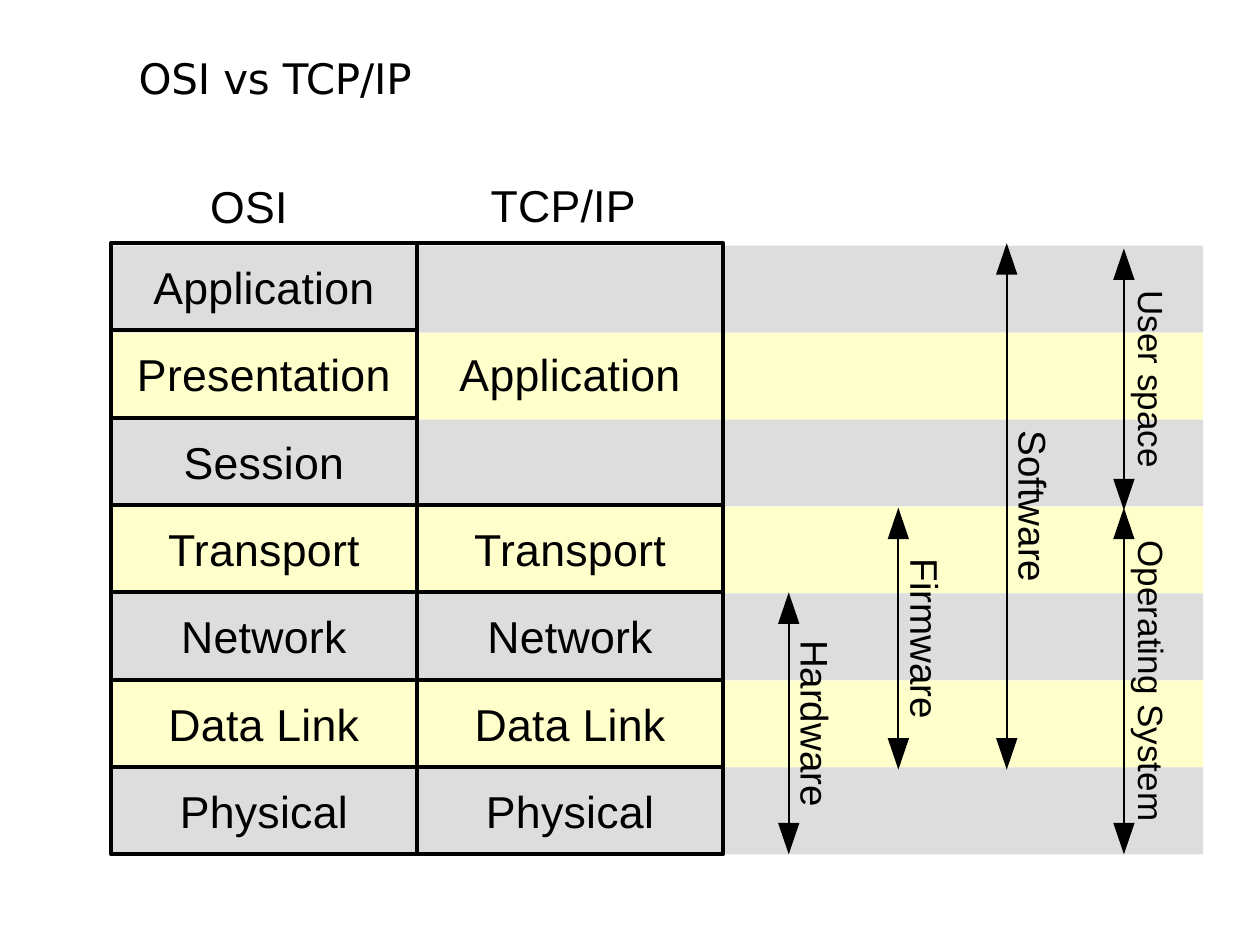
from dataclasses import dataclass

from lxml.etree import SubElement as Sub
from pptx import Presentation
from pptx.dml.color import RGBColor as RGB
from pptx.enum.shapes import MSO_CONNECTOR as Link, MSO_SHAPE as Kind
from pptx.enum.text import MSO_ANCHOR as Anchor, PP_ALIGN as Align
from pptx.oxml.ns import qn
from pptx.util import Inches, Pt

# Grid of the two stacks: seven rows, two columns
LEFT, TOP, BASE = 0.88, 1.93, 6.78
ROWS = 7
ROW = (BASE - TOP) / ROWS
COL = 2.43
BAND_TOP, BAND_W = 1.95, 8.67
BAND = (BASE - BAND_TOP) / ROWS
HEAD_W, HEAD_H = 0.17, 0.25
BLACK, GREY, CREAM = "000000", "DDDDDD", "FFFFCC"


@dataclass
class Cell:
    text: str
    col: int
    row: int
    span: int = 1


@dataclass
class Arrow:
    text: str
    x: float
    start: float  # in rows
    end: float    # in rows
    size: int = 22
    gap: float = 0.06
    wide: float = 0.34


LOWER = ["Transport", "Network", "Data Link", "Physical"]
OSI = ["Application", "Presentation", "Session"] + LOWER
CELLS = [Cell(name, 0, i) for i, name in enumerate(OSI)]
CELLS += [Cell("Application", 1, 0, 3)]
CELLS += [Cell(name, 1, i) for i, name in enumerate(LOWER, 3)]

ARROWS = [
    Arrow("Hardware", 6.26, 4, 7),
    Arrow("Firmware", 7.13, 3.03, 6.03),
    Arrow("Software", 7.99, 0, 6.03),
    Arrow("Operating System", 8.92, 3.03, 7, 20, 0.08, 0.31),
    Arrow("User space", 8.92, 0.06, 3.06, 20, 0.08, 0.31),
]


def tint(fmt, hue: str) -> None:
    """Give a fill or a font a solid colour."""
    if hasattr(fmt, "solid"):
        fmt.solid()
        fmt.fore_color.rgb = RGB.from_string(hue)
    else:
        fmt.color.rgb = RGB.from_string(hue)


def write(shape, text: str, size: float, face: str = "Arial",
          align=Align.CENTER, track: int = 0) -> None:
    frame = shape.text_frame
    frame.margin_left = frame.margin_right = 0
    frame.margin_top = frame.margin_bottom = 0
    frame.word_wrap = True
    para = frame.paragraphs[0]
    para.text = text
    para.alignment = align
    font = para.font
    font.name, font.size = face, Pt(size)
    tint(font, BLACK)
    if track:
        font._element.set("spc", str(track))


def block(slide, kind, x: float, y: float, w: float, h: float,
          fill: str = "", line: float = 0):
    shape = slide.shapes.add_shape(
        kind, Inches(x), Inches(y), Inches(w), Inches(h))
    shape.shadow.inherit = False
    if fill:
        tint(shape.fill, fill)
    else:
        shape.fill.background()
    if line:
        tint(shape.line.fill, BLACK)
        shape.line.width = Pt(line)
    else:
        shape.line.fill.background()
    return shape


def label(slide, x: float, y: float, w: float, h: float, text: str,
          size: float, **look):
    box = slide.shapes.add_textbox(
        Inches(x), Inches(y), Inches(w), Inches(h))
    write(box, text, size, **look)
    return box


def draw_cell(slide, cell: Cell) -> None:
    shape = block(slide, Kind.RECTANGLE, LEFT + cell.col * COL,
                  TOP + cell.row * ROW, COL, cell.span * ROW, line=2.3)
    write(shape, cell.text, 25.5, track=14)
    shape.text_frame.vertical_anchor = Anchor.MIDDLE


def draw_arrow(slide, arrow: Arrow) -> None:
    top, base = TOP + arrow.start * ROW, TOP + arrow.end * ROW
    trim = HEAD_H - 0.02
    stem = slide.shapes.add_connector(
        Link.STRAIGHT, Inches(arrow.x), Inches(top + trim),
        Inches(arrow.x), Inches(base - trim))
    tint(stem.line.fill, BLACK)
    stem.line.width = Pt(1.25)
    Sub(stem._element.spPr, qn("a:effectLst"))
    for y, turn in ((top, 0), (base - HEAD_H, 180)):
        tip = block(slide, Kind.ISOSCELES_TRIANGLE, arrow.x - HEAD_W / 2, y,
                    HEAD_W, HEAD_H, BLACK)
        tip.rotation = turn
    # Name reads downwards, centred along the arrow
    name = label(slide, arrow.x + arrow.gap, top, arrow.wide, base - top,
                 arrow.text, arrow.size)
    name.text_frame._txBody.bodyPr.set("vert", "vert")


def main() -> None:
    deck = Presentation()
    deck.slide_width, deck.slide_height = Inches(10), Inches(7.5)
    slide = deck.slides.add_slide(deck.slide_layouts[6])

    # Title
    label(slide, 1.1, 0.42, 7.82, 0.4, "OSI vs TCP/IP", 24,
          face="DejaVu Sans", align=Align.LEFT, track=-10)

    # Striped bands behind the stacks
    for i in range(ROWS):
        block(slide, Kind.RECTANGLE, LEFT, BAND_TOP + i * BAND, BAND_W, BAND,
              CREAM if i % 2 else GREY)

    # Layers and the arrows beside them
    for cell in CELLS:
        draw_cell(slide, cell)
    for arrow in ARROWS:
        draw_arrow(slide, arrow)

    # Stack headings
    for x, y, w, text in ((1.65, 1.42, 0.65, "OSI"),
                          (3.88, 1.41, 1.18, "TCP/IP")):
        label(slide, x, y, w, 0.39, text, 25.5, track=14)

    deck.save("out.pptx")


if __name__ == "__main__":
    main()
